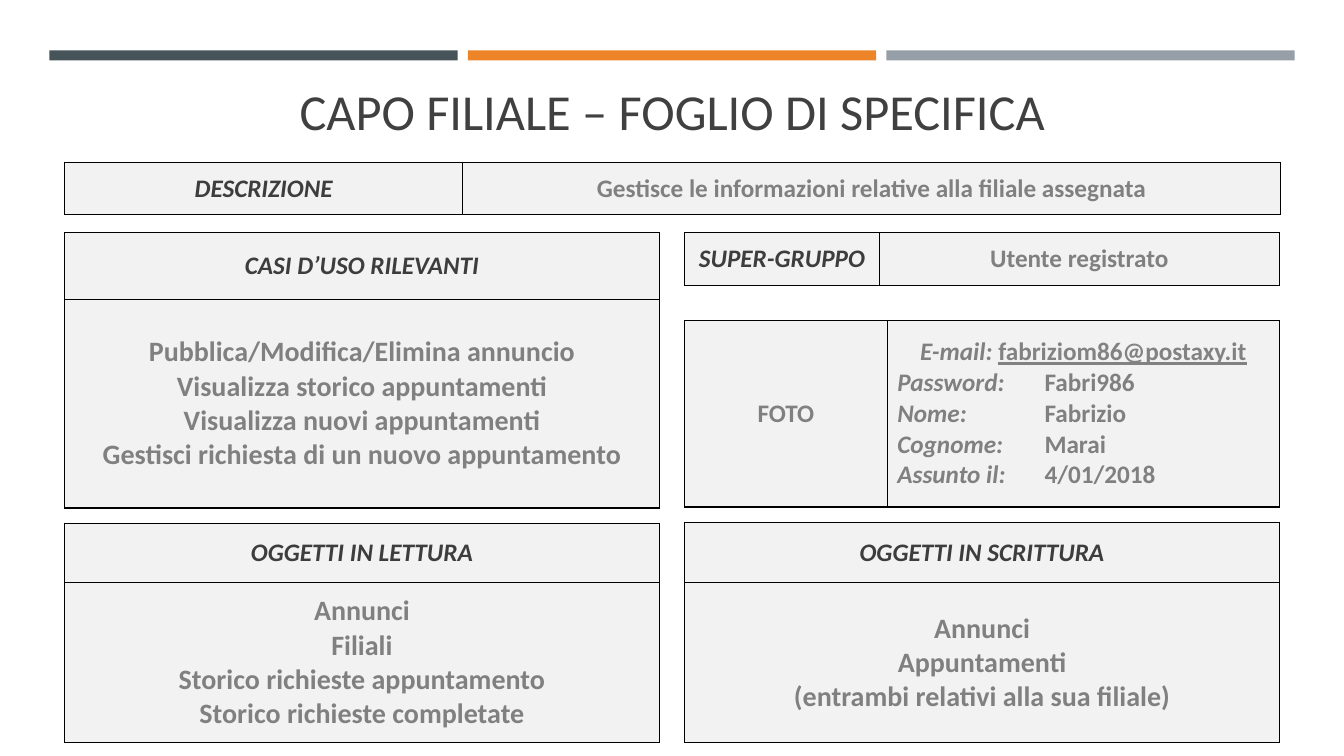
from dataclasses import dataclass

from lxml import etree
from pptx import Presentation
from pptx.dml.color import RGBColor
from pptx.enum.shapes import MSO_SHAPE
from pptx.enum.text import MSO_ANCHOR, PP_ALIGN
from pptx.oxml.ns import qn
from pptx.util import Inches, Pt

RECT = MSO_SHAPE.RECTANGLE
MIDDLE, BOTTOM = MSO_ANCHOR.MIDDLE, MSO_ANCHOR.BOTTOM
CENTER, LEFT = PP_ALIGN.CENTER, PP_ALIGN.LEFT


@dataclass(frozen=True)
class Theme:
    """Colours, font and type sizes of the slide."""
    font: str = "Calibri"
    title: str = "404040"
    heading: str = "3D3D3D"
    body: str = "808080"
    link: str = "828282"
    cell: str = "F2F2F2"
    border: str = "000000"
    bars: tuple = ("465359", "ED8428", "969FA7")
    title_size: int = 36
    label_size: int = 18
    list_size: int = 20


THEME = Theme()


def add_text(p, text, size=THEME.label_size, color=THEME.body, bold=True,
             italic=False, underline=False, align=CENTER):
    """Add one formatted run to a paragraph."""
    p.alignment = align
    r = p.add_run()
    r.text = text
    font = r.font
    font.name, font.size = THEME.font, Pt(size)
    font.bold, font.italic, font.underline = bold, italic, underline
    font.color.rgb = RGBColor.from_string(color)


def add_heading(cell, text):
    """Write a dark bold italic heading in a cell."""
    add_text(cell.text_frame.paragraphs[0], text, color=THEME.heading, italic=True)


def add_lines(cell, lines, size=THEME.label_size):
    """Write one centred paragraph for each line."""
    tf = cell.text_frame
    for i, line in enumerate(lines):
        add_text(tf.paragraphs[0] if i == 0 else tf.add_paragraph(), line, size=size)


def set_borders(cell):
    """Draw a thin line on the four sides of a cell."""
    tc_pr = cell._tc.get_or_add_tcPr()
    for side in ("a:lnL", "a:lnR", "a:lnT", "a:lnB"):
        ln = etree.SubElement(tc_pr, qn(side), w=str(Pt(1)))
        fill = etree.SubElement(ln, qn("a:solidFill"))
        etree.SubElement(fill, qn("a:srgbClr"), val=THEME.border)


def add_grid(s, left, top, cols, rows):
    """Add a plain bordered table and return it."""
    frame = s.shapes.add_table(len(rows), len(cols), Inches(left), Inches(top),
                               Inches(sum(cols)), Inches(sum(rows)))
    table = frame.table
    table.first_row = table.horz_banding = False
    for col, width in zip(table.columns, cols):
        col.width = Inches(width)
    for row, height in zip(table.rows, rows):
        row.height = Inches(height)
    for cell in table.iter_cells():
        set_borders(cell)
        cell.fill.solid()
        cell.fill.fore_color.rgb = RGBColor.from_string(THEME.cell)
        cell.vertical_anchor = MIDDLE
    return table


def add_bars(s, left, top, width, height, gap=0.1):
    """Split the box into equal coloured bars."""
    count = len(THEME.bars)
    bar_width = (width - gap * (count - 1)) / count
    for i, color in enumerate(THEME.bars):
        sp = s.shapes.add_shape(RECT, Inches(left + i * (bar_width + gap)), Inches(top),
                                Inches(bar_width), Inches(height))
        sp.shadow.inherit = False
        sp.fill.solid()
        sp.fill.fore_color.rgb = RGBColor.from_string(color)
        sp.line.fill.background()


def add_title(s, left, top, width, height, text):
    """Add the centred slide title."""
    tf = s.shapes.add_textbox(Inches(left), Inches(top), Inches(width),
                              Inches(height)).text_frame
    tf.word_wrap = True
    tf.vertical_anchor = BOTTOM
    add_text(tf.paragraphs[0], text, size=THEME.title_size, color=THEME.title, bold=False)


def add_label_row(s, left, top, width, height, label_width, label, value):
    """Add a heading cell with its value beside it."""
    table = add_grid(s, left, top, [label_width, width - label_width], [height])
    add_heading(table.cell(0, 0), label)
    add_lines(table.cell(0, 1), [value])


def add_list_card(s, left, top, width, height, head_height, heading, lines):
    """Add a heading cell above a cell with a list."""
    table = add_grid(s, left, top, [width], [head_height, height - head_height])
    add_heading(table.cell(0, 0), heading)
    add_lines(table.cell(1, 0), lines, size=THEME.list_size)


def add_profile(s, left, top, width, height, photo_width, email, fields, tab=1.46):
    """Add the photo cell and the personal data, with values on a tab stop."""
    table = add_grid(s, left, top, [photo_width, width - photo_width], [height])
    add_lines(table.cell(0, 0), ["FOTO"])
    tf = table.cell(0, 1).text_frame
    p = tf.paragraphs[0]
    add_text(p, "E-mail: ", italic=True)
    add_text(p, email, color=THEME.link, underline=True)
    for label, value in fields:
        p = tf.add_paragraph()
        add_text(p, f"{label}:\t", italic=True, align=LEFT)
        add_text(p, value, align=LEFT)
        tabs = etree.SubElement(p._p.get_or_add_pPr(), qn("a:tabLst"))
        etree.SubElement(tabs, qn("a:tab"), pos=str(Inches(tab)), algn="l")


def build_slide(prs):
    """Lay out the specification sheet."""
    s = prs.slides.add_slide(prs.slide_layouts[6])
    left, right, full, half = 0.64, 6.79, 12.06, 5.9
    strip = 0.52
    add_bars(s, 0.49, 0.5, 12.35, 0.1)
    add_title(s, left, 0.62, full, 0.82, "CAPO FILIALE – FOGLIO DI SPECIFICA")
    add_label_row(s, left, 1.61, full, strip, 3.95, "DESCRIZIONE",
                  "Gestisce le informazioni relative alla filiale assegnata")
    add_label_row(s, right, 2.31, half, strip, 1.93, "SUPER-GRUPPO", "Utente registrato")
    add_profile(s, right, 3.18, half, 1.85, 2.01, "fabriziom86@postaxy.it",
                [("Password", "Fabri986"), ("Nome", "Fabrizio"),
                 ("Cognome", "Marai"), ("Assunto il", "4/01/2018")])
    add_list_card(s, left, 2.31, half, 2.73, 0.66, "CASI D’USO RILEVANTI",
                  ["Pubblica/Modifica/Elimina annuncio", "Visualizza storico appuntamenti",
                   "Visualizza nuovi appuntamenti",
                   "Gestisci richiesta di un nuovo appuntamento"])
    add_list_card(s, left, 5.19, half, 2.18, 0.59, "OGGETTI IN LETTURA",
                  ["Annunci", "Filiali", "Storico richieste appuntamento",
                   "Storico richieste completate"])
    add_list_card(s, right, 5.18, half, 2.19, 0.6, "OGGETTI IN SCRITTURA",
                  ["Annunci", "Appuntamenti", "(entrambi relativi alla sua filiale)"])


prs = Presentation()
prs.slide_width, prs.slide_height = Inches(13.33), Inches(7.5)
build_slide(prs)
prs.save("out.pptx")
